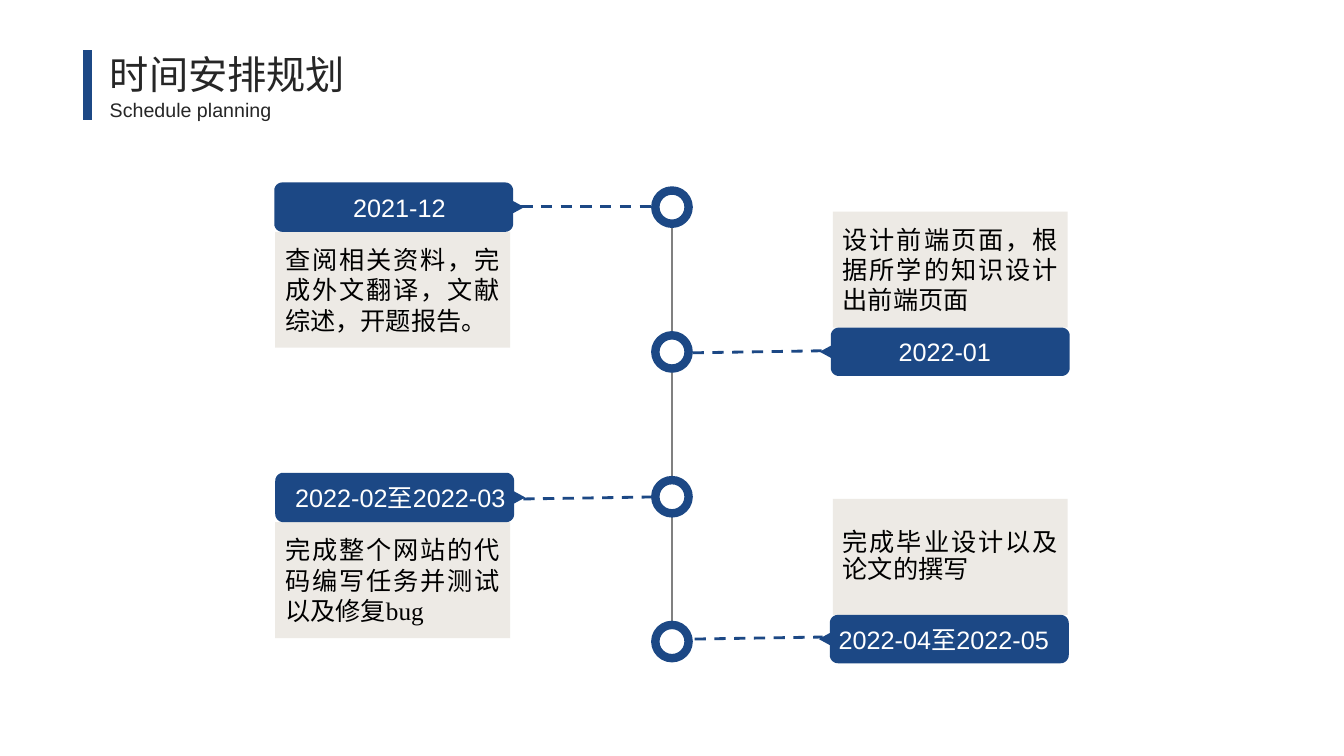
import math

import pptx
import pptx.dml.color
import pptx.enum.dml
import pptx.enum.shapes
import pptx.enum.text
import pptx.oxml
import pptx.oxml.ns
import pptx.util

Inches = pptx.util.Inches
Pt = pptx.util.Pt
ALIGN = pptx.enum.text.PP_ALIGN
ANCHOR = pptx.enum.text.MSO_ANCHOR
SHAPES = pptx.enum.shapes.MSO_SHAPE

COLORS = {"navy": "1C4885", "sand": "EDEAE5", "gray": "808080",
          "white": "FFFFFF", "black": "000000", "dark": "262626"}

TAG_WIDTH, POINTER, CORNER = 2.48, 0.11, 0.08
BOX_WIDTH, BOX_HEIGHT = 2.33, 1.15
CIRCLE, CIRCLE_LEFT, FIRST_TOP, LAST_TOP = 0.33, 6.5, 1.89, 6.2

# label, task, tag (left, top, height), dashed line (from, to), line spacing
MILESTONES = [
    ("2021-12", "查阅相关资料，完成外文翻译，文献综述，开题报告。",
     (2.72, 1.81, 0.49), ((5.17, 2.05), (6.5, 2.05)), 1.0),
    ("2022-01", "设计前端页面，根据所学的知识设计出前端页面",
     (8.13, 3.25, 0.48), ((6.87, 3.5), (8.15, 3.48)), 1.0),
    ("2022-02至2022-03", "完成整个网站的代码编写任务并测试以及修复bug",
     (2.73, 4.69, 0.49), ((5.19, 4.95), (6.49, 4.93)), 1.0),
    ("2022-04至2022-05", "完成毕业设计以及论文的撰写",
     (8.12, 6.1, 0.48), ((6.89, 6.34), (8.16, 6.32)), 0.9),
]


def rgb(name):
    """Return the named palette colour."""
    return pptx.dml.color.RGBColor.from_string(COLORS[name])


def write(frame, text, size=18, font="Arial", color="dark", align=ALIGN.LEFT,
          anchor=ANCHOR.TOP, spacing=1.0, side_inset=0.1):
    """Put one formatted paragraph into a text frame."""
    frame.word_wrap = True
    frame.auto_size = pptx.enum.text.MSO_AUTO_SIZE.NONE
    frame.vertical_anchor = anchor
    frame.margin_left = frame.margin_right = Inches(side_inset)
    frame.margin_top = frame.margin_bottom = Inches(0.05)
    paragraph = frame.paragraphs[0]
    paragraph.alignment = align
    paragraph.line_spacing = spacing
    run = paragraph.add_run()
    run.text = text
    run.font.size = Pt(size)
    run.font.name = font
    run.font.color.rgb = rgb(color)


def tag_points(left, top, height, points_right):
    """Return the outline of a rounded tag with a pointer on one side."""
    right = TAG_WIDTH - POINTER
    middle = height / 2
    points = []
    corners = [(right - CORNER, CORNER, -90),
               (right - CORNER, height - CORNER, 0),
               (CORNER, height - CORNER, 90), (CORNER, CORNER, 180)]
    for center_x, center_y, start in corners:
        for step in range(7):
            angle = math.radians(start + 15 * step)
            points.append((center_x + CORNER * math.cos(angle),
                           center_y + CORNER * math.sin(angle)))
        if start == -90:
            points += [(right, middle - 0.06), (TAG_WIDTH, middle),
                       (right, middle + 0.06)]
    if not points_right:
        points = [(TAG_WIDTH - x, y) for x, y in points]
    return [(Inches(left + x), Inches(top + y)) for x, y in points]


class SlideBuilder:
    """Holds the style and the current slide."""

    def __init__(self, slide):
        """Keep the slide to draw on."""
        self.slide = slide

    def paint(self, shape, fill, line=None, width=0):
        """Set fill and outline, without a shadow."""
        shape.shadow.inherit = False
        shape.fill.solid()
        shape.fill.fore_color.rgb = rgb(fill)
        if line:
            shape.line.color.rgb = rgb(line)
            shape.line.width = Pt(width)
        else:
            shape.line.fill.background()

    def title(self, text, left, top, width, height, **style):
        """Place and fill the title placeholder."""
        shape = self.slide.shapes.title
        shape.left, shape.top = Inches(left), Inches(top)
        shape.width, shape.height = Inches(width), Inches(height)
        write(shape.text_frame, text, **style)

    def text(self, text, left, top, width, height, **style):
        """Add a text box."""
        shape = self.slide.shapes.add_textbox(
            Inches(left), Inches(top), Inches(width), Inches(height))
        write(shape.text_frame, text, **style)

    def line(self, start, end, color, width, dashed=False):
        """Add a straight connector."""
        connector = self.slide.shapes.add_connector(
            pptx.enum.shapes.MSO_CONNECTOR.STRAIGHT,
            *[Inches(value) for value in (*start, *end)])
        connector.line.color.rgb = rgb(color)
        connector.line.width = Pt(width)
        if dashed:
            connector.line.dash_style = pptx.enum.dml.MSO_LINE.DASH
        properties = connector._element.spPr
        properties.append(pptx.oxml.parse_xml(
            "<a:effectLst %s/>" % pptx.oxml.ns.nsdecls("a")))

    def box(self, text, left, top, spacing):
        """Add a task description box."""
        shape = self.slide.shapes.add_shape(
            SHAPES.RECTANGLE, Inches(left), Inches(top),
            Inches(BOX_WIDTH), Inches(BOX_HEIGHT))
        self.paint(shape, "sand")
        write(shape.text_frame, text, font="Times New Roman", color="black",
              align=ALIGN.JUSTIFY, anchor=ANCHOR.MIDDLE, spacing=spacing)

    def circle(self, left, top):
        """Add a ring on the time axis."""
        shape = self.slide.shapes.add_shape(
            SHAPES.OVAL, Inches(left), Inches(top),
            Inches(CIRCLE), Inches(CIRCLE))
        self.paint(shape, "white", "navy", 6)

    def tag(self, text, left, top, height, points_right):
        """Add a date tag pointing towards the time axis."""
        points = tag_points(left, top, height, points_right)
        builder = self.slide.shapes.build_freeform(*points[0])
        builder.add_line_segments(points[1:], close=True)
        shape = builder.convert_to_shape()
        self.paint(shape, "navy")
        write(shape.text_frame, text, color="white", align=ALIGN.CENTER,
              anchor=ANCHOR.MIDDLE, side_inset=0)


def main():
    """Build the schedule slide and save it."""
    presentation = pptx.Presentation()
    presentation.slide_width = Inches(13.33)
    presentation.slide_height = Inches(7.5)
    slide = presentation.slides.add_slide(presentation.slide_layouts[5])
    builder = SlideBuilder(slide)

    builder.title("时间安排规划", 0.99, 0.45, 2.78, 0.57, size=28)
    builder.text("Schedule planning", 0.99, 0.92, 2.46, 0.34, size=14,
                 align=ALIGN.JUSTIFY)
    builder.line((0.87, 0.5), (0.87, 1.19), "navy", 6)

    axis = CIRCLE_LEFT + CIRCLE / 2
    builder.line((axis, FIRST_TOP), (axis, LAST_TOP + CIRCLE), "gray", 2)
    gap = (LAST_TOP - FIRST_TOP) / (len(MILESTONES) - 1)
    for index, (label, task, tag, dash, spacing) in enumerate(MILESTONES):
        left, top, height = tag
        on_left = index % 2 == 0
        if on_left:
            builder.box(task, 2.73, top + height, spacing)
        else:
            builder.box(task, 8.26, top - BOX_HEIGHT, spacing)
        builder.circle(CIRCLE_LEFT, FIRST_TOP + index * gap)
        builder.tag(label, left, top, height, on_left)
        builder.line(*dash, "navy", 2, dashed=True)

    presentation.save("out.pptx")


main()
